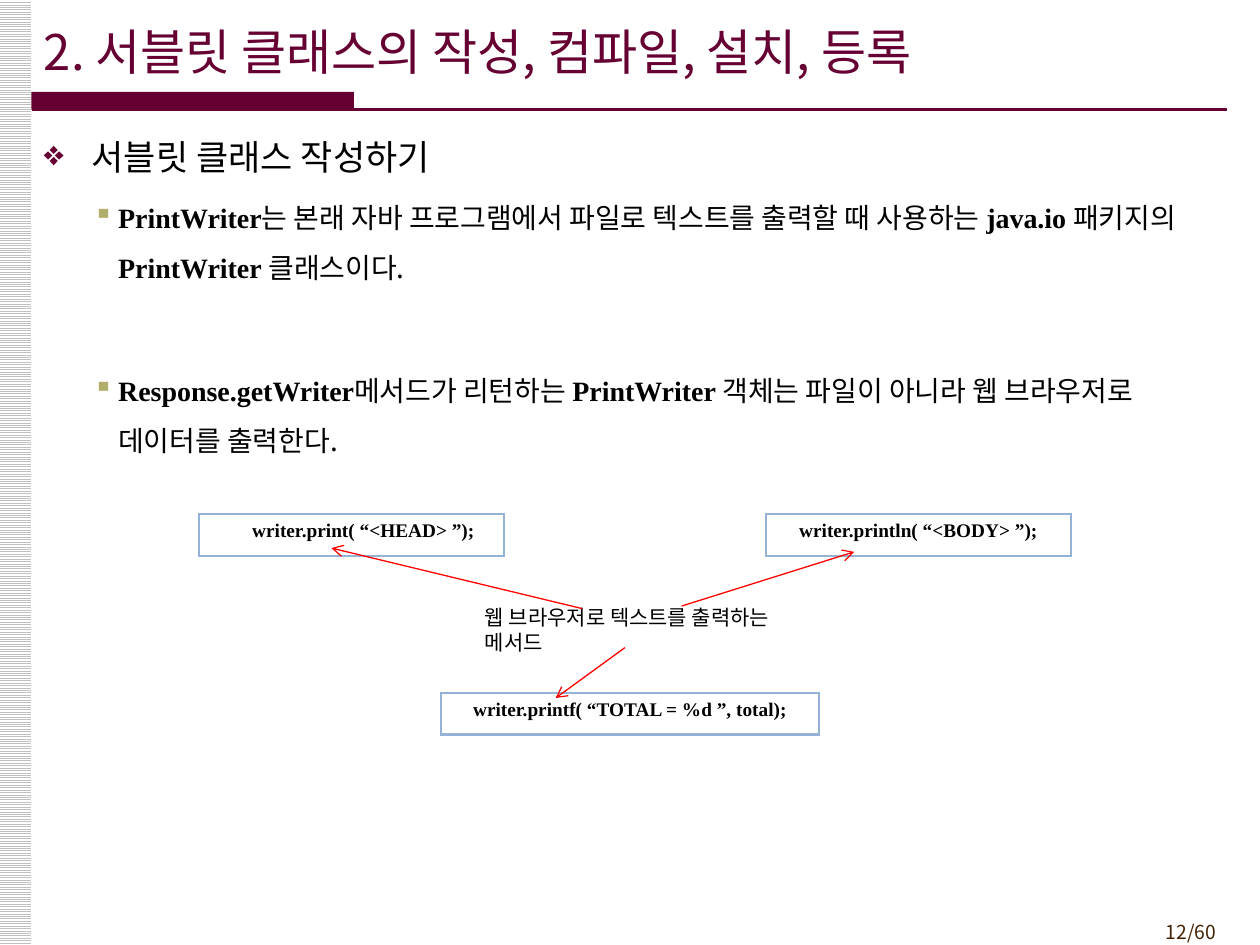
from lxml import etree
from pptx import Presentation
from pptx.dml.color import RGBColor
from pptx.enum.dml import MSO_PATTERN
from pptx.enum.shapes import MSO_CONNECTOR, MSO_SHAPE
from pptx.enum.text import MSO_ANCHOR, PP_ALIGN
from pptx.oxml.ns import qn
from pptx.util import Inches, Pt

WINE = RGBColor(0x66, 0x00, 0x33)
OLIVE = RGBColor(0xB1, 0xAE, 0x6B)
BROWN = RGBColor(0x45, 0x21, 0x03)
BLACK = RGBColor(0x00, 0x00, 0x00)
WHITE = RGBColor(0xFF, 0xFF, 0xFF)
SILVER = RGBColor(0xC0, 0xC0, 0xC0)
BLUE = RGBColor(0x95, 0xB3, 0xD7)
RED = RGBColor(0xFF, 0x00, 0x00)
KOREAN = "Noto Sans CJK KR"
CODE = "Times New Roman"


def add_run(para, text, size, color=BLACK, code=False):
    span = para.add_run()
    span.text = text
    font = span.font
    font.name = CODE if code else KOREAN
    font.size = Pt(size)
    font.bold = code
    font.color.rgb = color
    east_asian = etree.SubElement(font._element, qn("a:ea"))
    east_asian.set("typeface", font.name)


def add_box(page, left, top, width, height, anchor=MSO_ANCHOR.MIDDLE):
    box = page.shapes.add_textbox(*map(Inches, (left, top, width, height)))
    box.text_frame.word_wrap = True
    box.text_frame.vertical_anchor = anchor
    return box


def add_label(page, bounds, text, size, color=BLACK, align=PP_ALIGN.LEFT):
    box = add_box(page, *bounds)
    para = box.text_frame.paragraphs[0]
    para.alignment = align
    add_run(para, text, size, color)
    return box


def add_rectangle(page, left, top, width, height):
    shape = page.shapes.add_shape(
        MSO_SHAPE.RECTANGLE, *map(Inches, (left, top, width, height))
    )
    shape.shadow.inherit = False
    shape.line.fill.background()
    return shape


def add_line(page, start, end, color, width, arrow=False):
    line = page.shapes.add_connector(
        MSO_CONNECTOR.STRAIGHT, *map(Inches, start + end)
    )
    line.line.color.rgb = color
    line.line.width = Pt(width)
    if arrow:
        tail = etree.SubElement(line.line._get_or_add_ln(), qn("a:tailEnd"))
        tail.set("type", "arrow")
    etree.SubElement(line._element.spPr, qn("a:effectLst"))


def set_bullet(para, char, color, indent, hanging):
    props = para._p.get_or_add_pPr()
    props.set("marL", str(Inches(indent)))
    props.set("indent", str(-Inches(hanging)))
    bullet_color = etree.SubElement(props, qn("a:buClr"))
    etree.SubElement(bullet_color, qn("a:srgbClr")).set("val", str(color))
    etree.SubElement(props, qn("a:buChar")).set("char", char)


def add_detail(frame, space_before, pieces):
    para = frame.add_paragraph()
    para.level = 1
    para.line_spacing = 1.5
    para.space_before = Pt(space_before)
    para.space_after = Pt(3)
    set_bullet(para, "▪", OLIVE, 0.59, 0.2)
    for index, text in enumerate(pieces):
        add_run(para, text, 16, code=index % 2 == 0)


def add_body(page):
    frame = add_box(page, 0.25, 1.03, 9.5, 6.25, MSO_ANCHOR.TOP).text_frame
    heading = frame.paragraphs[0]
    heading.space_before = Pt(4)
    set_bullet(heading, "❖", WINE, 0.38, 0.38)
    add_run(heading, "서블릿 클래스 작성하기", 20)
    add_detail(frame, 3.2, [
        "PrintWriter", "는 본래 자바 프로그램에서 파일로 텍스트를 출력할 때 사용하는 ",
        "java.io ", "패키지의 ", "PrintWriter ", "클래스이다.",
    ])
    add_detail(frame, 38.2, [
        "Response.getWriter", "메서드가 리턴하는 ",
        "PrintWriter ", "객체는 파일이 아니라 웹 브라우저로 데이터를 출력한다.",
    ])


def add_code_table(page, left, top, width, text, margin=0.1):
    frame = page.shapes.add_table(
        1, 1, *map(Inches, (left, top, width, 0.33))
    )
    cell = frame.table.cell(0, 0)
    cell.margin_left = Inches(margin)
    para = cell.text_frame.paragraphs[0]
    para.alignment = PP_ALIGN.CENTER
    add_run(para, text, 11, code=True)
    props = cell._tc.get_or_add_tcPr()
    for side in ("lnL", "lnR", "lnT", "lnB"):
        border = etree.SubElement(props, qn(f"a:{side}"))
        border.set("w", str(Pt(1.5)))
        fill = etree.SubElement(border, qn("a:solidFill"))
        etree.SubElement(fill, qn("a:srgbClr")).set("val", str(BLUE))
    cell.fill.background()


def add_frame(page):
    stripe = add_rectangle(page, -0.01, 0, 0.26, 7.5)
    stripe.fill.patterned()
    stripe.fill.pattern = MSO_PATTERN.LIGHT_HORIZONTAL
    stripe.fill.fore_color.rgb = SILVER
    stripe.fill.back_color.rgb = WHITE
    add_label(page, (8.92, 7.25, 0.83, 0.29), "12/60", 11, BROWN, PP_ALIGN.RIGHT)
    bar = add_rectangle(page, 0.25, 0.73, 2.56, 0.14)
    bar.fill.solid()
    bar.fill.fore_color.rgb = WINE
    add_line(page, (0.25, 0.87), (9.74, 0.87), WINE, 1.5)


def add_diagram(page):
    add_code_table(page, 1.58, 4.08, 2.42, "writer.print( “<HEAD> ”);", 0.29)
    add_code_table(page, 6.08, 4.08, 2.42, "writer.println( “<BODY> ”);")
    add_code_table(page, 3.5, 5.5, 3, "writer.printf( “TOTAL = %d ”, total);")
    caption = add_label(
        page, (3.75, 4.83, 2.67, 0.33), "웹 브라우저로 텍스트를 출력하는 메서드", 12
    )
    caption.fill.solid()
    caption.fill.fore_color.rgb = WHITE
    for start, end in (
        ((4.96, 5.14), (4.41, 5.54)),
        ((5.41, 4.81), (6.78, 4.38)),
        ((4.62, 4.83), (2.63, 4.35)),
    ):
        add_line(page, start, end, RED, 0.75, arrow=True)


def main():
    deck = Presentation()
    deck.slide_width, deck.slide_height = Inches(10), Inches(7.5)
    page = deck.slides.add_slide(deck.slide_layouts[6])
    add_frame(page)
    add_body(page)
    add_label(
        page, (0.25, 0.09, 8.27, 0.63),
        "2. 서블릿 클래스의 작성, 컴파일, 설치, 등록", 28, WINE,
    )
    add_diagram(page)
    deck.save("out.pptx")


if __name__ == "__main__":
    main()
